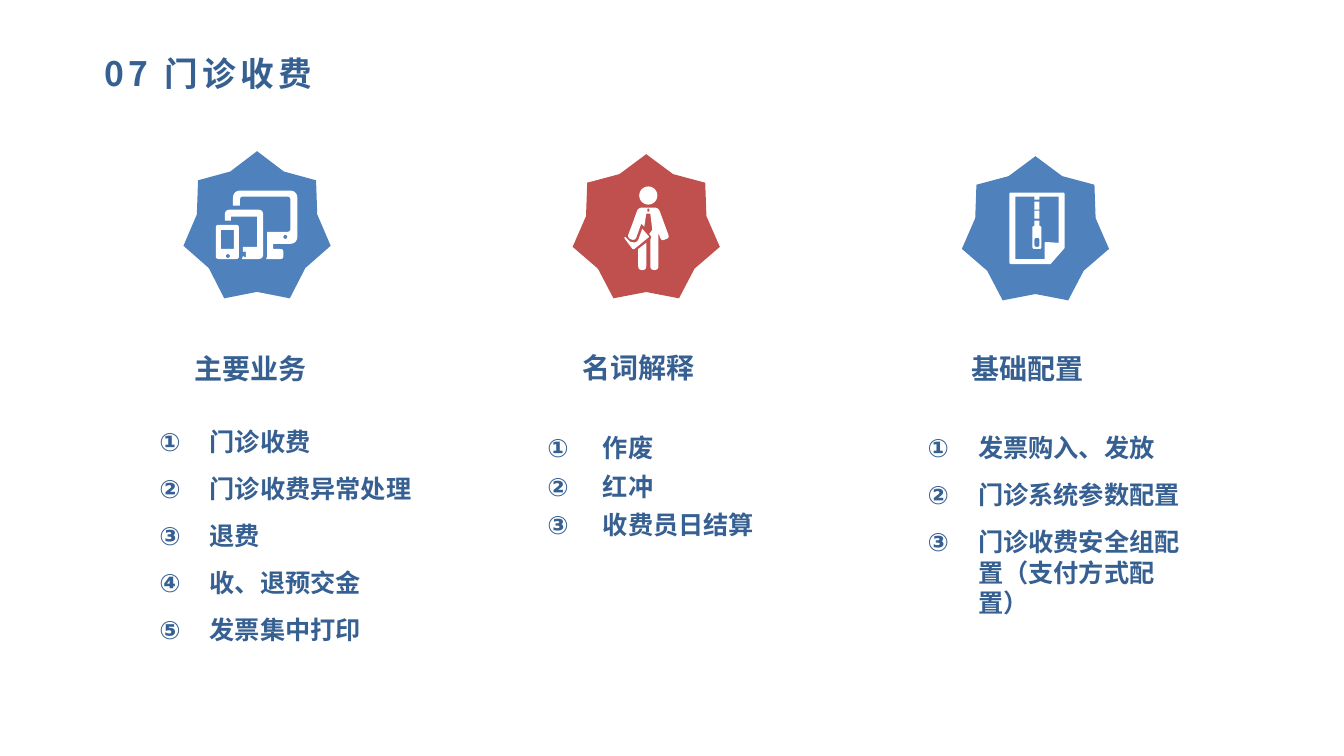
from math import cos, hypot, pi, sin

from pptx import Presentation
from pptx.dml.color import RGBColor
from pptx.enum.shapes import MSO_SHAPE as Shape
from pptx.enum.text import MSO_ANCHOR as Anchor, MSO_AUTO_SIZE as AutoSize, PP_ALIGN as Align
from pptx.oxml.ns import qn
from pptx.util import Inches, Pt
from lxml.etree import SubElement

COLORS = {"text": "376092", "blue": "4F81BD", "red": "C0504D", "white": "FFFFFF"}
HEADING_FONT = "Noto Sans CJK SC"
LIST_FONT = "Arial"


def rgb(name):
    return RGBColor.from_string(COLORS[name])


# Outlines, in inches: a corner (x, y, r) is rounded by r
def rounded(*corners):
    points = []
    for i, (x, y, *radius) in enumerate(corners):
        if not radius:
            points.append((x, y))
            continue
        ends = []
        for nx, ny, *_ in (corners[i - 1], corners[(i + 1) % len(corners)]):
            share = radius[0] / hypot(nx - x, ny - y)
            ends.append((x + (nx - x) * share, y + (ny - y) * share))
        (ax, ay), (bx, by) = ends
        for t in (0, 0.2, 0.4, 0.6, 0.8, 1):
            a, c, b = (1 - t) ** 2, 2 * t * (1 - t), t * t
            points.append((a * ax + c * x + b * bx, a * ay + c * y + b * by))
    return points


def box(left, top, right, bottom, r=0):
    corners = [(left, top), (right, top), (right, bottom), (left, bottom)]
    return rounded(*[(x, y, r) for x, y in corners]) if r else corners


def dot(x, y, r):
    return [(x + r * cos(k * pi / 12), y + r * sin(k * pi / 12)) for k in range(24)]


DEVICES = [
    # Phone
    box(2.14, 2.23, 2.37, 2.57, 0.03), box(2.19, 2.28, 2.32, 2.47), dot(2.26, 2.54, 0.02),
    # Tablet
    rounded((2.23, 2.19), (2.23, 2.08, 0.05), (2.61, 2.08, 0.05), (2.61, 2.57, 0.05),
            (2.4, 2.57), (2.41, 2.54), (2.44, 2.56, 0.02), (2.44, 2.49, 0.02), (2.41, 2.5),
            (2.41, 2.45), (2.55, 2.45), (2.55, 2.15), (2.29, 2.15), (2.29, 2.19)),
    # Monitor
    rounded((2.31, 2.04), (2.31, 1.89, 0.08), (2.95, 1.89, 0.08), (2.95, 2.42, 0.08),
            (2.71, 2.42), (2.71, 2.47), (2.81, 2.47, 0.03), (2.81, 2.57, 0.03),
            (2.64, 2.57), (2.65, 2.54), (2.65, 2.3), (2.88, 2.3, 0.03),
            (2.88, 1.95, 0.03), (2.38, 1.95, 0.03), (2.38, 2.04)),
    dot(2.83, 2.35, 0.02),
]
CASHIER = [
    # Head, body with tie, tie knot
    dot(6.43, 1.94, 0.09),
    rounded((6.33, 2.06, 0.04), (6.53, 2.06, 0.04), (6.64, 2.36, 0.03), (6.56, 2.39, 0.03),
            (6.53, 2.31), (6.53, 2.68, 0.04), (6.45, 2.68, 0.04), (6.45, 2.38),
            (6.46, 2.35), (6.44, 2.32), (6.47, 2.28), (6.45, 2.12), (6.41, 2.12),
            (6.39, 2.25), (6.36, 2.22), (6.3, 2.39, 0.04), (6.22, 2.36, 0.04), (6.28, 2.2)),
    box(6.42, 2.07, 6.44, 2.1),
    # Folder and left leg
    rounded((6.37, 2.27), (6.44, 2.35, 0.01), (6.28, 2.48, 0.02), (6.19, 2.36, 0.01),
            (6.2, 2.35), (6.25, 2.4), (6.32, 2.41, 0.04)),
    rounded((6.41, 2.41), (6.41, 2.68, 0.04), (6.33, 2.68, 0.04), (6.33, 2.47)),
]
ARCHIVE = [
    # Page with folded corner, then its inside
    rounded((10.01, 1.91, 0.02), (10.56, 1.91, 0.02), (10.56, 2.46), (10.42, 2.62),
            (10.01, 2.62, 0.02)),
    rounded((10.07, 1.95), (10.26, 1.95), (10.26, 1.98), (10.31, 1.98), (10.31, 1.95),
            (10.5, 1.95), (10.5, 2.41), (10.36, 2.4, 0.02), (10.36, 2.57), (10.07, 2.57)),
    # Zip teeth and slider
    box(10.26, 2, 10.31, 2.08), box(10.26, 2.09, 10.31, 2.17),
    rounded((10.26, 2.19), (10.31, 2.19), (10.31, 2.24), (10.33, 2.25), (10.33, 2.47, 0.02),
            (10.24, 2.47, 0.02), (10.24, 2.25), (10.26, 2.24)),
    box(10.26, 2.36, 10.31, 2.45, 0.02),
]


def paint(shape, color):
    shape.shadow.inherit = False
    shape.fill.solid()
    shape.fill.fore_color.rgb = rgb(color)
    shape.line.fill.background()


def add_badge(slide, left, top, height, color, icon):
    star = slide.shapes.add_shape(Shape.STAR_7_POINT, Inches(left), Inches(top),
                                  Inches(1.46), Inches(height))
    star.adjustments[0] = 0.409
    paint(star, color)
    builder = None
    for outline in icon:
        first, *rest = [(Inches(x), Inches(y)) for x, y in outline]
        if builder is None:
            builder = slide.shapes.build_freeform(*first)
        else:
            builder.move_to(*first)
        builder.add_line_segments(rest, close=True)
    paint(builder.convert_to_shape(), "white")


def place(shape, left, top, width, height):
    shape.left, shape.top = Inches(left), Inches(top)
    shape.width, shape.height = Inches(width), Inches(height)
    frame = shape.text_frame
    frame.word_wrap = True
    frame.auto_size = AutoSize.NONE
    frame.vertical_anchor = Anchor.TOP
    return frame


def style(paragraph, font_name, size):
    font = paragraph.font
    font.name, font.size, font.bold = font_name, Pt(size), True
    font.color.rgb = rgb("text")
    for run in paragraph.runs:
        SubElement(run._r.get_or_add_rPr(), qn("a:ea")).set("typeface", font_name)


def fill_title(title, text):
    frame = place(title, 0.84, 0.52, 10.21, 0.58)
    frame.margin_left, frame.margin_top = Inches(0.2), 0
    frame.text = text
    paragraph = frame.paragraphs[0]
    paragraph.alignment = Align.LEFT
    style(paragraph, HEADING_FONT, 24)
    paragraph.runs[0]._r.get_or_add_rPr().set("spc", "300")


def add_heading(slide, left, top, text):
    heading = slide.shapes.add_textbox(0, 0, 0, 0)
    frame = place(heading, left, top, 2.16, 0.4)
    frame.text = text
    style(frame.paragraphs[0], HEADING_FONT, 20)


def fill_list(body, left, top, width, indent, before, items):
    frame = place(body, left, top, width, 2.35)
    frame.text = "\n".join(items)
    for i, paragraph in enumerate(frame.paragraphs):
        props = paragraph._p.get_or_add_pPr()
        props.set("marL", str(Inches(indent)))
        props.set("indent", str(-Inches(indent)))
        paragraph.alignment = Align.LEFT
        paragraph.space_before = Pt(before if i else 0)
        paragraph.space_after = Pt(6)
        SubElement(props, qn("a:buAutoNum")).set("type", "circleNumDbPlain")
        style(paragraph, LIST_FONT, 18)


def main():
    prs = Presentation()
    prs.slide_width, prs.slide_height = Inches(13.33), Inches(7.5)
    slide = prs.slides.add_slide(prs.slide_layouts[4])
    title, business, terms, setup, spare = slide.placeholders
    spare.element.getparent().remove(spare.element)

    fill_title(title, "07 门诊收费")

    # Badges
    add_badge(slide, 1.82, 1.5, 1.46, "blue", DEVICES)
    add_badge(slide, 5.68, 1.53, 1.43, "red", CASHIER)
    add_badge(slide, 9.54, 1.55, 1.43, "blue", ARCHIVE)

    # Column headings
    add_heading(slide, 1.83, 3.44, "主要业务")
    add_heading(slide, 5.68, 3.43, "名词解释")
    add_heading(slide, 9.54, 3.44, "基础配置")

    # Numbered lists
    fill_list(business, 1.48, 4.18, 2.76, 0.5, 6,
              ["门诊收费", "门诊收费异常处理", "退费", "收、退预交金", "发票集中打印"])
    fill_list(terms, 5.33, 4.24, 3.09, 0.55, 0, ["作废", "红冲", "收费员日结算"])
    fill_list(setup, 9.1, 4.24, 2.76, 0.5, 6,
              ["发票购入、发放", "门诊系统参数配置", "门诊收费安全组配置（支付方式配置）"])

    prs.save("out.pptx")


if __name__ == "__main__":
    main()
